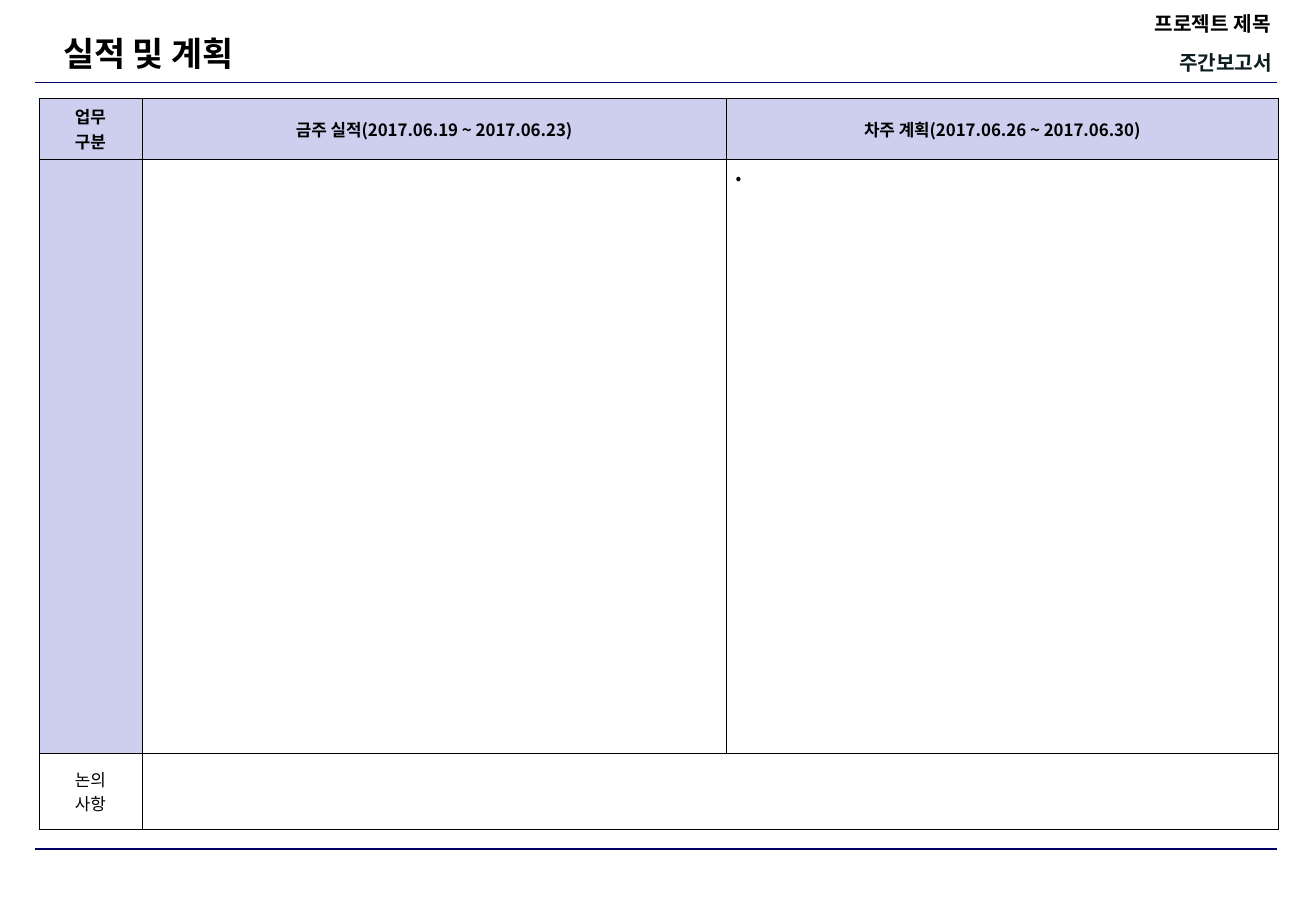
from dataclasses import dataclass

from lxml import etree
from pptx import Presentation, util as u
from pptx.dml.color import RGBColor
from pptx.enum import shapes, text
from pptx.oxml.ns import qn

EMU_PER_PX = 9144  # 100 px to the inch


@dataclass(frozen=True)
class Theme:
    font: str = "Noto Sans CJK KR"
    ink: str = "000000"
    report: str = "0E1E20"
    rule: str = "000066"
    head_fill: str = "CECEEF"
    title_size: int = 20
    label_size: int = 12
    cell_size: int = 10
    rule_width: float = 0.75
    thick: float = 0.45
    hair: float = 0.23


THEME = Theme()
ALIGN = text.PP_ALIGN
ANCHOR = text.MSO_ANCHOR

COLUMNS = (85, 481, 455)
ROWS = (49, 489, 63)
# Each cell: wording, filled, sides with the thicker border
CELLS = (
    (("업무\n구분", True, "LT"),
     ("금주 실적(2017.06.19 ~ 2017.06.23)", True, "TR"),
     ("차주 계획(2017.06.26 ~ 2017.06.30)", True, "LT")),
    (("", True, "LB"), ("", False, ""), (" ", False, "B")),
    (("논의\n사항", False, "LTB"), ("", False, "TB"), ("", False, "TB")),
)


def px(length):
    return u.Emu(length * EMU_PER_PX)


def write(frame, words, *, size, color=THEME.ink, bold=True,
          align=ALIGN.LEFT, spacing=None):
    """Fill a text frame with one formatted paragraph."""
    para = frame.paragraphs[0]
    para.text = words
    para.alignment = align
    if spacing:
        para.line_spacing = spacing
    para.font.size = u.Pt(size)
    for span in para.runs:
        span.font.size = u.Pt(size)
        span.font.bold = bold
        span.font.name = THEME.font
        span.font.color.rgb = RGBColor.from_string(color)
        east_asian = etree.SubElement(span.font._element, qn("a:ea"))
        east_asian.set("typeface", THEME.font)
    return para


def set_frame(frame, anchor, side, edge):
    frame.word_wrap = True
    frame.auto_size = text.MSO_AUTO_SIZE.NONE
    frame.vertical_anchor = anchor
    frame.margin_left = frame.margin_right = px(side)
    frame.margin_top = frame.margin_bottom = px(edge)


def add_rule(page, top):
    rule = page.shapes.add_connector(
        shapes.MSO_CONNECTOR.STRAIGHT, px(29), px(top), px(1052), px(top))
    rule.line.color.rgb = RGBColor.from_string(THEME.rule)
    rule.line.width = u.Pt(THEME.rule_width)
    etree.SubElement(rule._element.spPr, qn("a:effectLst"))


def add_label(page, words, place, side, edge, color):
    box = page.shapes.add_textbox(*map(px, place))
    set_frame(box.text_frame, ANCHOR.MIDDLE, side, edge)
    write(box.text_frame, words, size=THEME.label_size, color=color,
          align=ALIGN.RIGHT, spacing=0.9)


def set_title(page, words):
    title = page.shapes.title
    title.left, title.top, title.width, title.height = map(px, (42, 22, 758, 46))
    set_frame(title.text_frame, ANCHOR.TOP, 10, 5)
    write(title.text_frame, words, size=THEME.title_size)


def set_borders(cell, thick_sides):
    props = cell._tc.get_or_add_tcPr()
    for side in "LRTB":
        width = THEME.thick if side in thick_sides else THEME.hair
        line = etree.SubElement(props, qn(f"a:ln{side}"), w=str(u.Pt(width)))
        fill = etree.SubElement(line, qn("a:solidFill"))
        etree.SubElement(fill, qn("a:srgbClr"), val=THEME.ink)


def add_bullet(para):
    props = para._p.get_or_add_pPr()
    props.set("marL", str(px(15)))
    props.set("indent", str(-px(15)))
    etree.SubElement(props, qn("a:buFont"), typeface=THEME.font)
    etree.SubElement(props, qn("a:buChar"), char="•")


def format_cell(cell, words, filled, thick_sides, anchor, bold, align):
    set_borders(cell, thick_sides)
    if filled:
        cell.fill.solid()
        cell.fill.fore_color.rgb = RGBColor.from_string(THEME.head_fill)
    else:
        cell.fill.background()
    cell.margin_left = cell.margin_right = px(8)
    cell.margin_top = cell.margin_bottom = px(5)
    cell.vertical_anchor = anchor
    return write(cell.text_frame, words, size=THEME.cell_size,
                 bold=bold, align=align)


def add_report_table(page):
    table = page.shapes.add_table(
        len(ROWS), len(COLUMNS), px(32), px(81),
        px(sum(COLUMNS)), px(sum(ROWS))).table
    table.first_row = table.horz_banding = False
    for column, width in zip(table.columns, COLUMNS):
        column.width = px(width)
    for row, height in zip(table.rows, ROWS):
        row.height = px(height)

    for r, line in enumerate(CELLS):
        for c, (words, filled, thick_sides) in enumerate(line):
            in_body = r == 1
            at_top = in_body or (r, c) == (0, 0)
            para = format_cell(
                table.cell(r, c), words, filled, thick_sides,
                anchor=ANCHOR.TOP if at_top else ANCHOR.MIDDLE,
                bold=r == 0,
                align=ALIGN.LEFT if in_body else ALIGN.CENTER)
            if in_body and words:
                add_bullet(para)
    table.cell(2, 1).merge(table.cell(2, 2))


def main():
    deck = Presentation()
    deck.slide_width, deck.slide_height = px(1084), px(750)
    page = deck.slides.add_slide(deck.slide_layouts.get_by_name("Title Only"))

    # Page frame
    for top in (68, 699):
        add_rule(page, top)

    # Headings
    add_label(page, "주간보고서", (526, 39, 528, 28), 6, 5, THEME.report)
    add_label(page, "프로젝트 제목", (724, 13, 345, 15), 22, 0, THEME.ink)
    set_title(page, "실적 및 계획")

    # Results and plans
    add_report_table(page)
    deck.save("out.pptx")


if __name__ == "__main__":
    main()
